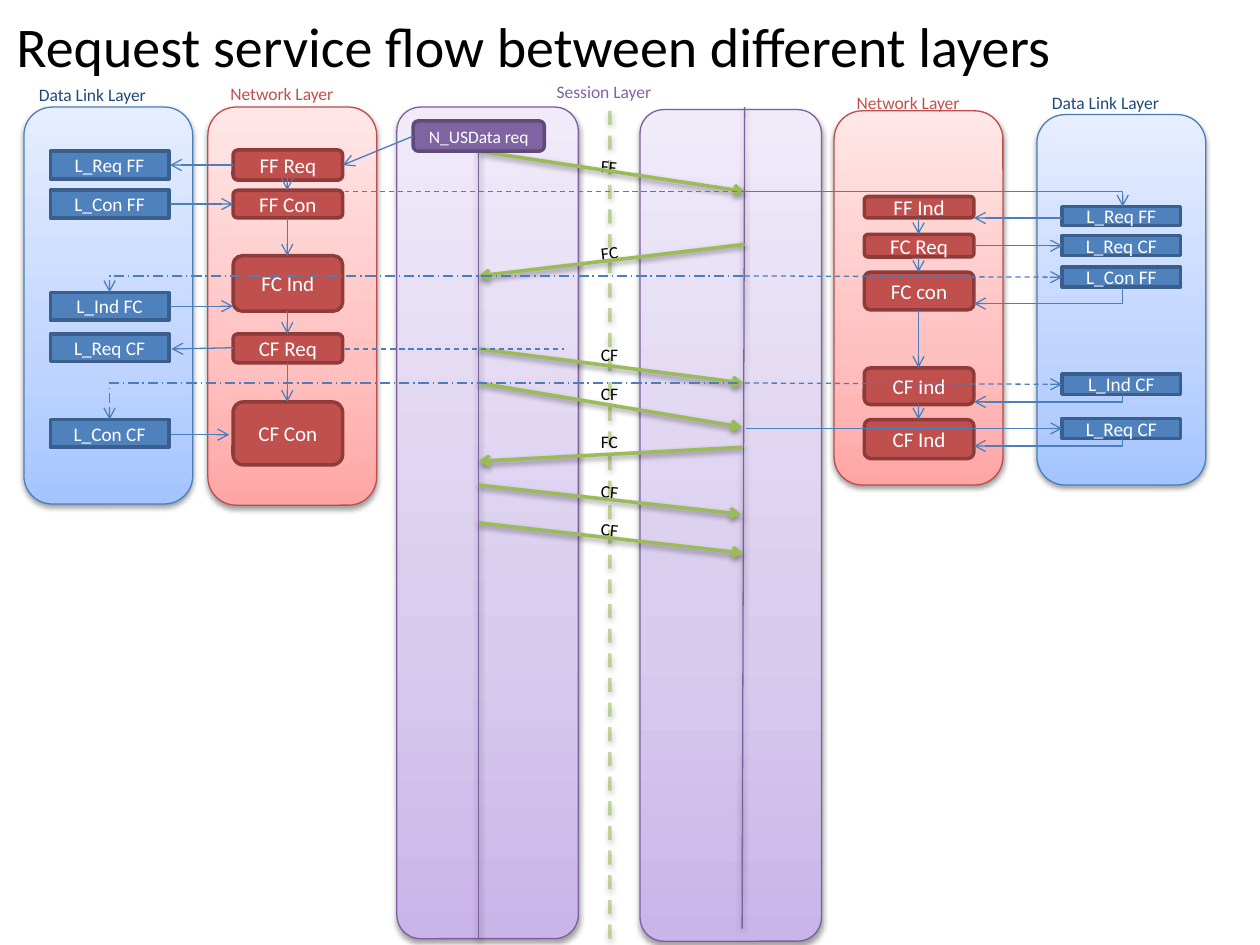
import pptx
import pptx.util
import pptx.dml.color
import pptx.enum.dml
import pptx.enum.shapes
import pptx.enum.text
import pptx.oxml
import pptx.oxml.ns

RGB = pptx.dml.color.RGBColor
KIND = pptx.enum.shapes.MSO_SHAPE
LINK = pptx.enum.shapes.MSO_CONNECTOR
DASH = pptx.enum.dml.MSO_LINE
ALIGN = pptx.enum.text.PP_ALIGN
ANCHOR = pptx.enum.text.MSO_ANCHOR
FIT = pptx.enum.text.MSO_AUTO_SIZE
Pt = pptx.util.Pt

WIDE, HIGH = pptx.util.Inches(10), pptx.util.Inches(7.5)
COL, ROW = WIDE / 100, HIGH / 75

BLACK, WHITE = RGB(0, 0, 0), RGB(255, 255, 255)
NAVY = RGB(0x1F, 0x49, 0x7D)
BLUE, STEEL, EDGE = RGB(0x4F, 0x81, 0xBD), RGB(0x3A, 0x5F, 0x8C), RGB(0x4B, 0x7E, 0xBC)
RED, WINE, ROSE = RGB(0xC0, 0x50, 0x4D), RGB(0x8E, 0x3B, 0x39), RGB(0xBF, 0x4C, 0x48)
PLUM, GRAPE, LILAC = RGB(0x80, 0x64, 0xA2), RGB(0x5F, 0x4A, 0x78), RGB(0x7D, 0x60, 0xA0)
GREEN = RGB(0x9B, 0xBB, 0x59)
SKY = [RGB(0xA4, 0xC4, 0xFF), RGB(0xBF, 0xD4, 0xFF), RGB(0xE6, 0xEE, 0xFF)]
PINK = [RGB(0xFF, 0xA6, 0xA5), RGB(0xFF, 0xC0, 0xBF), RGB(0xFF, 0xE7, 0xE7)]
MAUVE = [RGB(0xC9, 0xB5, 0xE8), RGB(0xD8, 0xCB, 0xEE), RGB(0xF0, 0xEA, 0xF9)]


def grid(*cells):
    return [round(n * (ROW if i % 2 else COL)) for i, n in enumerate(cells)]


def node(xml):
    return pptx.oxml.parse_xml(f"<a:ln {pptx.oxml.ns.nsdecls('a')}>{xml}</a:ln>")[0]


def shade(item, deep):
    drop = ('<a:outerShdw blurRad="40000" dist="20000" dir="5400000" rotWithShape="0">'
            '<a:srgbClr val="000000"><a:alpha val="38000"/></a:srgbClr></a:outerShdw>')
    item.element.spPr.append(node(f"<a:effectLst>{drop if deep else ''}</a:effectLst>"))


def write(frame, text, size, tint, align=ALIGN.LEFT):
    frame.word_wrap = True
    para = frame.paragraphs[0]
    para.alignment = align
    run = para.add_run()
    run.text = text
    font = run.font
    font.name, font.size = "Calibri", Pt(size)
    font.color.rgb = tint


def panel(slide, x, y, w, h, tints, edge, bend=0.167):
    item = slide.shapes.add_shape(KIND.ROUNDED_RECTANGLE, *grid(x, y, w, h))
    item.adjustments[0] = bend
    item.fill.gradient()
    stops = "".join(f'<a:gs pos="{p}"><a:srgbClr val="{t}"/></a:gs>'
                    for p, t in zip((0, 35000, 100000), tints))
    old = item.element.spPr.find(pptx.oxml.ns.qn("a:gradFill"))
    old.getparent().replace(old, node(
        f'<a:gradFill rotWithShape="1"><a:gsLst>{stops}</a:gsLst>'
        '<a:lin ang="16200000" scaled="0"/></a:gradFill>'))
    item.line.color.rgb, item.line.width = edge, Pt(0.75)
    shade(item, True)


def box(slide, kind, text, x, y, w, h, size, fill, edge):
    item = slide.shapes.add_shape(kind, *grid(x, y, w, h))
    item.shadow.inherit = False
    item.fill.solid()
    item.fill.fore_color.rgb = fill
    item.line.color.rgb, item.line.width = edge, Pt(2)
    item.text_frame.vertical_anchor = ANCHOR.MIDDLE
    write(item.text_frame, text, size, WHITE, ALIGN.CENTER)


def label(slide, text, x, y, w, tint, turn=0):
    item = slide.shapes.add_textbox(*grid(x, y, w, 2.7))
    item.rotation = turn
    write(item.text_frame, text, 10, tint)
    item.text_frame.auto_size = FIT.SHAPE_TO_FIT_TEXT


def style(item, tint, width, dash, head, tail, deep, alpha=None):
    line = item.line
    line.color.rgb, line.width = tint, Pt(width)
    if dash:
        line.dash_style = dash
    ln = item.element.spPr.find(pptx.oxml.ns.qn("a:ln"))
    if alpha:
        ln.find(".//" + pptx.oxml.ns.qn("a:srgbClr")).append(node(f'<a:alpha val="{alpha}"/>'))
    for name, on in (("headEnd", head), ("tailEnd", tail)):
        if on:
            ln.append(node(f'<a:{name} type="arrow"/>'))
    shade(item, deep)


def link(slide, ends, tint=EDGE, width=0.75, dash=None, head=False, tail=True,
         deep=False, alpha=None):
    item = slide.shapes.add_connector(LINK.STRAIGHT, *grid(*ends))
    style(item, tint, width, dash, head, tail, deep, alpha)


def bend(slide, ends, dash=None, down=False):
    x, y, u, v = ends
    if down:
        mx, my, dx, dy = (x + u) / 2, (y + v) / 2, (x - u) / 2, (v - y) / 2
        ends = mx - dy, my - dx, mx + dy, my + dx
    item = slide.shapes.add_connector(LINK.ELBOW, *grid(*ends))
    shape = item.element.spPr
    shape.find(pptx.oxml.ns.qn("a:prstGeom")).set("prst", "bentConnector2")
    if down:
        shape.xfrm.set("rot", "5400000")
    style(item, EDGE, 0.75, dash, False, True, False)


def layers(slide):
    panel(slide, 50.8, 8.7, 14.4, 66, MAUVE, LILAC, 0.131)
    panel(slide, 31.5, 8.5, 14.4, 66, MAUVE, LILAC, 0.131)
    for x, y, h, tints, edge in ((1.9, 8.5, 31.5, SKY, EDGE), (16.5, 8.5, 31.6, PINK, ROSE),
                                 (66.2, 8.8, 29.7, PINK, ROSE), (82.3, 9.1, 29.4, SKY, EDGE)):
        panel(slide, x, y, 13.4, h, tints, edge)
    for text, x, y, tint in (("Session Layer", 43.2, 5.9, PLUM),
                             ("Data Link Layer", 2.1, 6.2, NAVY),
                             ("Network Layer", 17.3, 6.1, RED),
                             ("Network Layer", 67, 6.8, RED),
                             ("Data Link Layer", 82.5, 6.8, NAVY)):
        label(slide, text, x, y, 11.9, tint)


def session(slide):
    for ends in ((38, 9.6, 38, 74.5), (59.1, 8.5, 58.9, 73.7)):
        link(slide, ends, LILAC, tail=False, deep=True)
    link(slide, (48.4, 8.8, 48.4, 74.9), GREEN, 2, DASH.DASH, tail=False, deep=True, alpha=57000)
    for text, y, turn, ends in (
            ("FF", 11.9, 5.2, (38, 12, 59.1, 15.2)),
            ("FC", 18.7, 353.1, (59.1, 19.4, 38, 21.9)),
            ("CF", 26.8, 0, (38, 27.7, 59, 30.4)),
            ("CF", 29.9, 0, (38, 30.4, 58.9, 33.9)),
            ("FC", 33.7, 0, (58.9, 35.5, 38, 36.6)),
            ("CF", 37.7, 5.2, (38, 38.5, 58.8, 40.8)),
            ("CF", 40.7, 5.2, (38, 41.5, 59, 43.9))):
        label(slide, text, 46.7, y, 3.5, BLACK, turn)
        link(slide, ends, GREEN, 2, deep=True)
    box(slide, KIND.ROUNDED_RECTANGLE, "N_USData req", 32.8, 9.6, 10.4, 2.4, 10, PLUM, GRAPE)


def nodes(slide):
    data = {4: (("L_Req FF", 12, 2.2), ("L_Con FF", 15.1, 2.2), ("L_Ind FC", 23.2, 2.2),
                ("L_Req CF", 26.5, 2.2), ("L_Con CF", 33.3, 2.2)),
            84.3: (("L_Req FF", 16.4, 1.5), ("L_Req CF", 18.7, 1.6), ("L_Con FF", 21.2, 1.6),
                   ("L_Ind CF", 29.7, 1.6), ("L_Req CF", 33.2, 1.6))}
    net = {18.5: (("FF Req", 11.9, 2.4), ("FF Con", 15.1, 2.2), ("FC Ind", 20.3, 4.4),
                  ("CF Req", 26.5, 2.3), ("CF Con", 31.9, 5)),
           68.6: (("FF Ind", 15.6, 1.7), ("FC Req", 18.6, 1.8), ("FC con", 21.6, 3),
                  ("CF Ind", 29.2, 2.9), ("CF Ind", 33.3, 3.1))}
    for x, rows in data.items():
        for text, y, h in rows:
            box(slide, KIND.RECTANGLE, text, x, y, 9.4, h, 11, BLUE, STEEL)
    for x, rows in net.items():
        mid = x + 4.3
        for text, y, h in rows:
            box(slide, KIND.ROUNDED_RECTANGLE, text, x, y, 8.7, h, 12, RED, WINE)
        for (_, y, h), (_, low, _) in zip(rows, rows[1:]):
            link(slide, (mid, y + h, mid, low))


def flows(slide):
    link(slide, (27.2, 13.1, 32.8, 10.8), head=True, tail=False)
    for ends in ((18.5, 13.1, 13.5, 13.1), (13.5, 16.2, 18.5, 16.2), (13.5, 24.3, 18.5, 24.3),
                 (18.5, 27.6, 13.6, 27.7), (13.5, 34.5, 18.2, 34.5), (84.3, 17.3, 77.3, 17.3),
                 (77.3, 19.5, 84.3, 19.5), (59.2, 34, 84.3, 34)):
        link(slide, ends)
    for ends, tail in (((59.2, 15.2, 27.4, 15.2), False), ((27.4, 27.7, 44.8, 27.7), False),
                       ((59.1, 30.4, 84.3, 30.5), True), ((59.1, 21.9, 84.3, 22), True)):
        link(slide, ends, dash=DASH.DASH, tail=tail)
    bend(slide, (59, 21.9, 8.7, 23.2), DASH.LONG_DASH_DOT)
    bend(slide, (58.6, 30.4, 8.7, 33.3), DASH.LONG_DASH_DOT)
    bend(slide, (59.2, 15.2, 89.1, 16.4))
    for y, low in ((22.8, 24.1), (31.3, 31.9), (34.8, 35.4)):
        bend(slide, (89.1, y, 77.3, low), down=True)


def main():
    deck = pptx.Presentation()
    deck.slide_width, deck.slide_height = WIDE, HIGH
    slide = deck.slides.add_slide(deck.slide_layouts[5])
    title = slide.shapes.title
    title.left, title.top, title.width, title.height = grid(0.3, 0.1, 90, 6.9)
    title.text_frame.vertical_anchor = ANCHOR.MIDDLE
    write(title.text_frame, "Request service flow between different layers", 32, BLACK)
    layers(slide)
    session(slide)
    nodes(slide)
    flows(slide)
    deck.save("out.pptx")


main()
